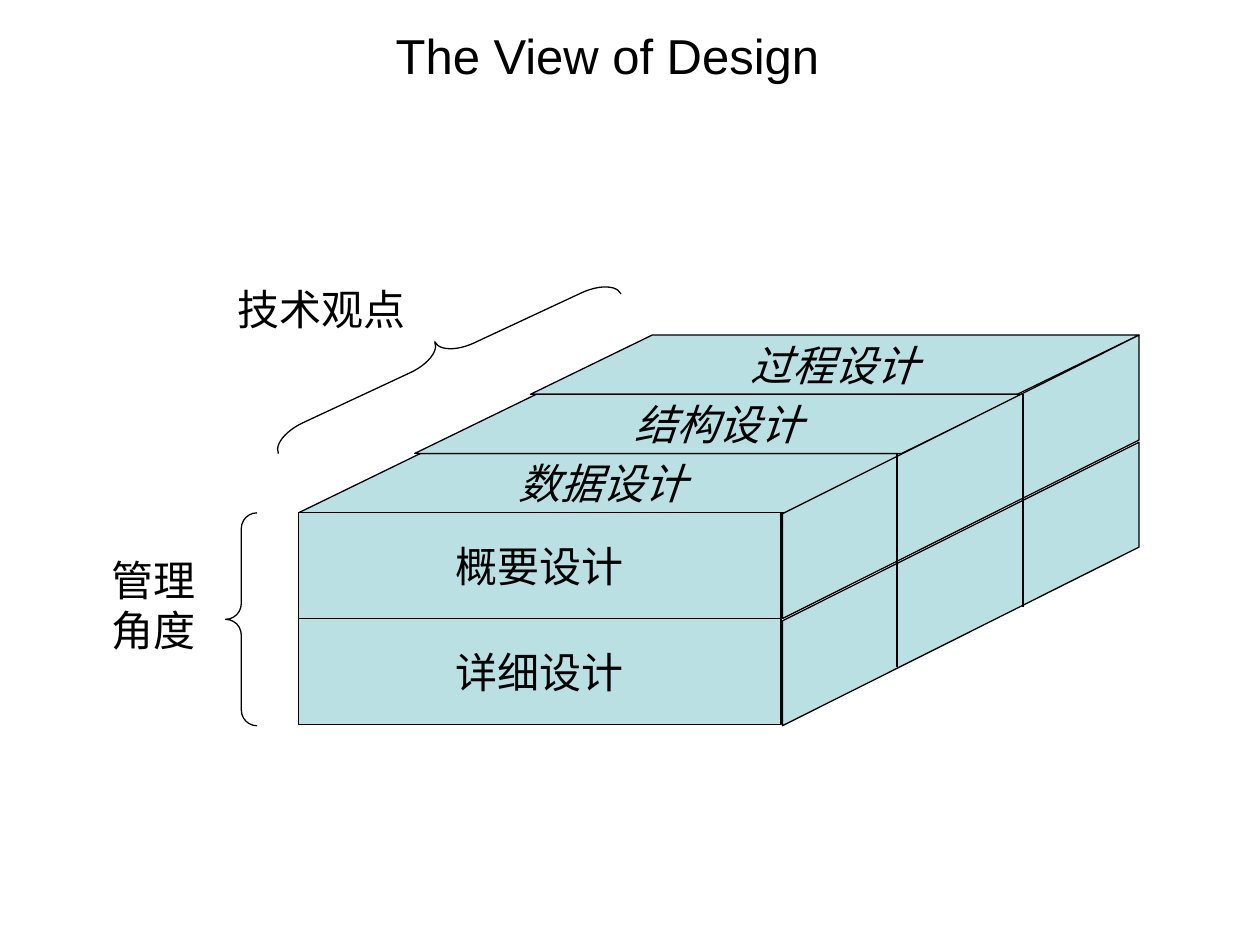
from dataclasses import dataclass

from lxml import etree
from pptx import Presentation
from pptx.dml.color import RGBColor
from pptx.enum import shapes, text
from pptx.oxml import ns
from pptx.util import Inches, Pt


@dataclass(frozen=True)
class Theme:
    ink: RGBColor = RGBColor(0x00, 0x00, 0x00)
    face: RGBColor = RGBColor(0xBB, 0xE0, 0xE3)
    title_font: str = "Arial"
    body_font: str = "Lato"
    title_size: Pt = Pt(28)
    body_size: Pt = Pt(24)
    line_width: Pt = Pt(0.75)


theme = Theme()
kinds = shapes.MSO_SHAPE

deck = Presentation()
deck.slide_width, deck.slide_height = Inches(10), Inches(7.5)
page = deck.slides.add_slide(deck.slide_layouts[5])


def write(box, words, font, size, align, italic=None):
    frame = box.text_frame
    frame.text = words
    para = frame.paragraphs[0]
    para.alignment = align
    for span in para.runs:
        span.font.name = font
        span.font.size = size
        span.font.italic = italic
        span.font.color.rgb = theme.ink


def add_outline(kind, left, top, width, height, filled=True):
    shape = page.shapes.add_shape(
        kind, Inches(left), Inches(top), Inches(width), Inches(height))
    shape.shadow.inherit = False
    if filled:
        shape.fill.solid()
        shape.fill.fore_color.rgb = theme.face
    else:
        shape.fill.background()
    shape.line.color.rgb = theme.ink
    shape.line.width = theme.line_width
    return shape


title = page.shapes.title
title.left, title.top = Inches(3.07), Inches(0.17)
title.width, title.height = Inches(3.52), Inches(0.52)
write(title, "The View of Design", theme.title_font, theme.title_size,
      text.PP_ALIGN.LEFT)
title.text_frame.word_wrap = False
title.text_frame.vertical_anchor = text.MSO_ANCHOR.TOP
title.text_frame.margin_left = title.text_frame.margin_right = Inches(0.07)
title.text_frame.margin_top = title.text_frame.margin_bottom = Inches(0.03)

left, top = 2.37, 4.07
front_width, row_height = 3.83, 0.84
step_x, step_y = 0.92, 0.47

faces = [
    (kinds.FLOWCHART_DATA, left + step * step_x, top - (step + 1) * step_y,
     front_width + 1, step_y, words, True)
    for step, words in ((0, "数据设计"), (2, "过程设计"), (1, "结构设计"))
] + [
    (kinds.RECTANGLE, left, top + row * row_height, front_width, row_height,
     words, None)
    for row, words in enumerate(("概要设计", "详细设计"))
]
for kind, x, y, width, height, words, italic in faces:
    face = add_outline(kind, x, y, width, height)
    write(face, words, theme.body_font, theme.body_size,
          text.PP_ALIGN.CENTER, italic)
    face.text_frame.word_wrap = False
    face.text_frame.vertical_anchor = text.MSO_ANCHOR.MIDDLE

for row in range(2):
    side = add_outline(kinds.PARALLELOGRAM, 6.5, 2.37 + row * 0.85, 2.25, 2.83)
    side.adjustments[0] = 0.63
    side.rotation = 270
    side._element.spPr.xfrm.set("flipV", "1")

for x, y in ((7.12, 3.6), (8.12, 3.13)):
    divider = page.shapes.add_connector(
        shapes.MSO_CONNECTOR.STRAIGHT,
        Inches(x), Inches(y), Inches(x), Inches(y + 1.69))
    divider.line.color.rgb = theme.ink
    divider.line.width = theme.line_width
    etree.SubElement(divider._element.spPr, ns.qn("a:effectLst"))

for x, y, width, height, curve, angle in (
        (1.79, top, 0.25, 1.69, 0.5, 0),
        (3.37, 1.34, 0.28, 3, 1, 65)):
    brace = add_outline(kinds.LEFT_BRACE, x, y, width, height, filled=False)
    brace.adjustments[0] = curve
    brace.adjustments[1] = 0.5
    brace.rotation = angle

for x, y, width, height, words in (
        (0.79, 4.35, 1, 0.9, "管理角度"),
        (1.79, 2.2, 1.58, 0.5, "技术观点")):
    label = page.shapes.add_textbox(
        Inches(x), Inches(y), Inches(width), Inches(height))
    label.text_frame.word_wrap = True
    write(label, words, theme.body_font, theme.body_size, text.PP_ALIGN.LEFT)

deck.save("out.pptx")
